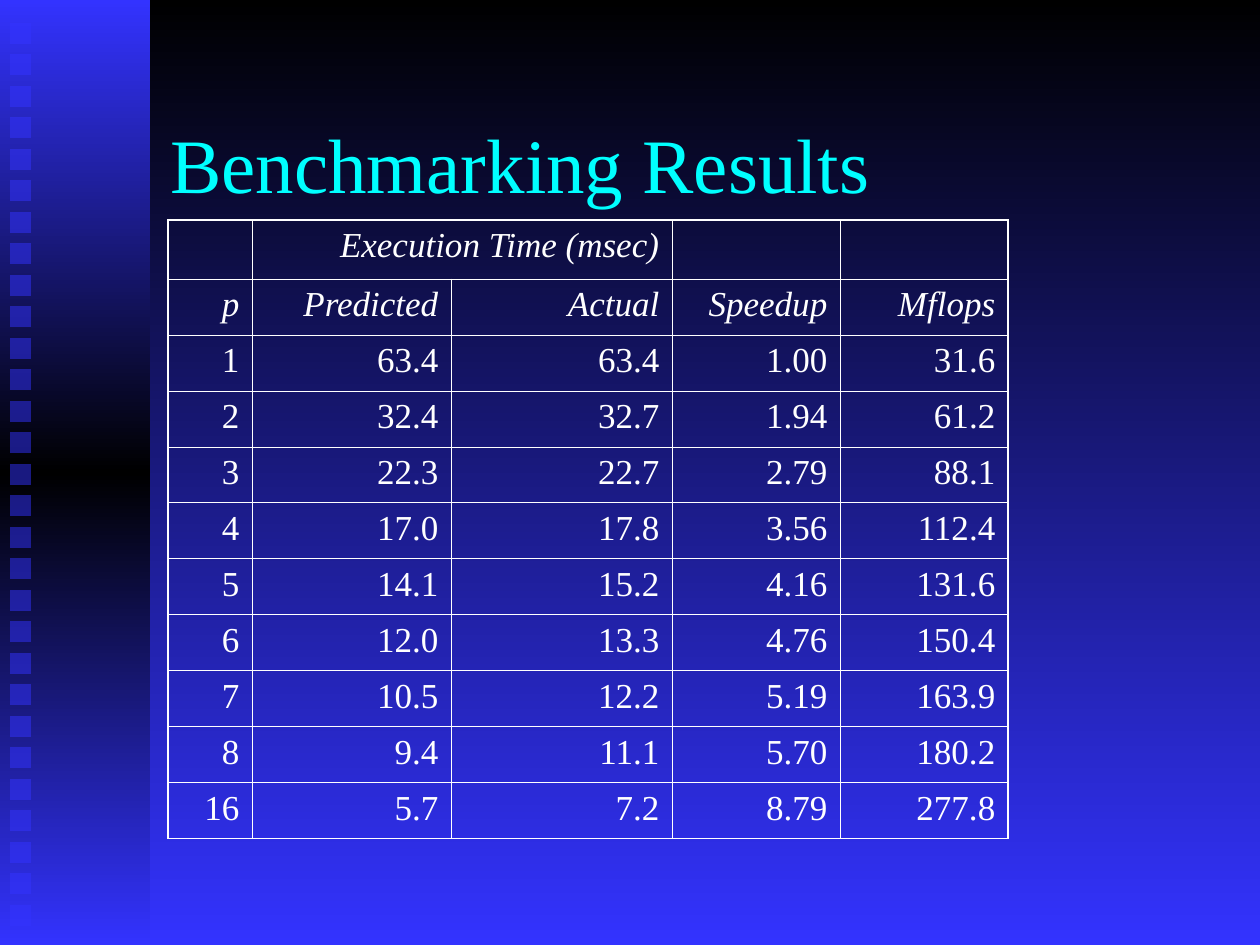
from copy import deepcopy

from lxml import etree
from pptx import Presentation
from pptx import util as u
from pptx.dml.color import RGBColor
from pptx.enum import shapes, text
from pptx.oxml.ns import qn

BLACK = RGBColor(0x00, 0x00, 0x00)
BLUE = RGBColor(0x33, 0x33, 0xFF)
CYAN = RGBColor(0x00, 0xFF, 0xFF)
WHITE = RGBColor(0xFF, 0xFF, 0xFF)

FONT = "Times New Roman"
PX_PER_INCH = 126
THIN, THICK = u.Pt(0.45), u.Pt(1.08)

COL_WIDTHS = [84, 199, 221, 168, 168]
ROW_HEIGHTS = [59] + [56] * 10
HEADER_ROWS = 2
ROWS = [
    ["", "Execution Time (msec)", "", "", ""],
    ["p", "Predicted", "Actual", "Speedup", "Mflops"],
    ["1", "63.4", "63.4", "1.00", "31.6"],
    ["2", "32.4", "32.7", "1.94", "61.2"],
    ["3", "22.3", "22.7", "2.79", "88.1"],
    ["4", "17.0", "17.8", "3.56", "112.4"],
    ["5", "14.1", "15.2", "4.16", "131.6"],
    ["6", "12.0", "13.3", "4.76", "150.4"],
    ["7", "10.5", "12.2", "5.19", "163.9"],
    ["8", "9.4", "11.1", "5.70", "180.2"],
    ["16", "5.7", "7.2", "8.79", "277.8"],
]


def px(n):
    return u.Emu(round(n * u.Inches(1) / PX_PER_INCH))


def set_font(font, size, color, italic=False):
    font.name = FONT
    font.size = u.Pt(size)
    font.color.rgb = color
    font.italic = italic


def vertical_gradient(fill, top, bottom):
    fill.gradient()
    fill.gradient_angle = 270
    for stop, color, position in zip(fill.gradient_stops, (top, bottom), (0, 1)):
        stop.color.rgb = color
        stop.position = position


def add_rect(slide, x, y, w, h):
    s = slide.shapes.add_shape(shapes.MSO_SHAPE.RECTANGLE,
                               px(x), px(y), px(w), px(h))
    s.shadow.inherit = False
    s.line.fill.background()
    return s


def add_sidebar(slide, x, y, w, h):
    # Band: blue at both ends, black in the middle
    band = add_rect(slide, x, y, w, h)
    vertical_gradient(band.fill, BLUE, BLACK)
    band.fill.gradient_stops[1].position = 0.5
    stops = band._element.spPr.find(".//" + qn("a:gsLst"))
    last = deepcopy(stops[0])
    last.set("pos", "100000")
    stops.append(last)

    # Column of half-transparent squares, two every 63 px
    for i in range(29):
        square = add_rect(slide, x + 10, y + 23 + i * 63 // 2, 21, 21)
        square.fill.solid()
        square.fill.fore_color.rgb = BLUE
        color = square._element.spPr.find(".//" + qn("a:srgbClr"))
        etree.SubElement(color, qn("a:alpha"), val="50000")


def add_title(slide, x, y, w, h):
    tf = slide.shapes.add_textbox(px(x), px(y), px(w), px(h)).text_frame
    tf.word_wrap = True
    tf.vertical_anchor = text.MSO_ANCHOR.MIDDLE
    tf.text = "Benchmarking Results"
    set_font(tf.paragraphs[0].runs[0].font, 44, CYAN)


def set_borders(cell, widths):
    tc_pr = cell._tc.get_or_add_tcPr()
    for i, (side, width) in enumerate(widths.items()):
        ln = etree.Element(qn("a:ln" + side), w=str(width))
        fill = etree.SubElement(ln, qn("a:solidFill"))
        etree.SubElement(fill, qn("a:srgbClr"), val=str(WHITE))
        tc_pr.insert(i, ln)


def add_results_table(slide, x, y, w, h):
    n_rows, n_cols = len(ROWS), len(COL_WIDTHS)
    table = slide.shapes.add_table(n_rows, n_cols,
                                   px(x), px(y), px(w), px(h)).table
    table.first_row = table.horz_banding = False
    for col, width in zip(table.columns, COL_WIDTHS):
        col.width = px(width)
    for row, height in zip(table.rows, ROW_HEIGHTS):
        row.height = px(height)

    for r, values in enumerate(ROWS):
        for c, value in enumerate(values):
            cell = table.cell(r, c)
            cell.fill.background()
            set_borders(cell, {
                "L": THICK if c == 0 else THIN,
                "R": THICK if c == n_cols - 1 else THIN,
                "T": THICK if r == 0 else THIN,
                "B": THICK if r == n_rows - 1 else THIN,
            })
            p = cell.text_frame.paragraphs[0]
            p.text = value
            p.alignment = text.PP_ALIGN.RIGHT
            for run in p.runs:
                set_font(run.font, 20, WHITE, italic=r < HEADER_ROWS)

    # "Execution Time" heads both time columns
    table.cell(0, 1).merge(table.cell(0, 2))


def main():
    prs = Presentation()
    prs.slide_width, prs.slide_height = px(1260), px(945)
    slide = prs.slides.add_slide(prs.slide_layouts[6])
    vertical_gradient(slide.background.fill, BLACK, BLUE)
    add_sidebar(slide, 0, 0, 150, 945)
    add_title(slide, 158, 84, 1071, 158)
    add_results_table(slide, 168, 220, sum(COL_WIDTHS), sum(ROW_HEIGHTS))
    prs.save("out.pptx")


if __name__ == "__main__":
    main()
